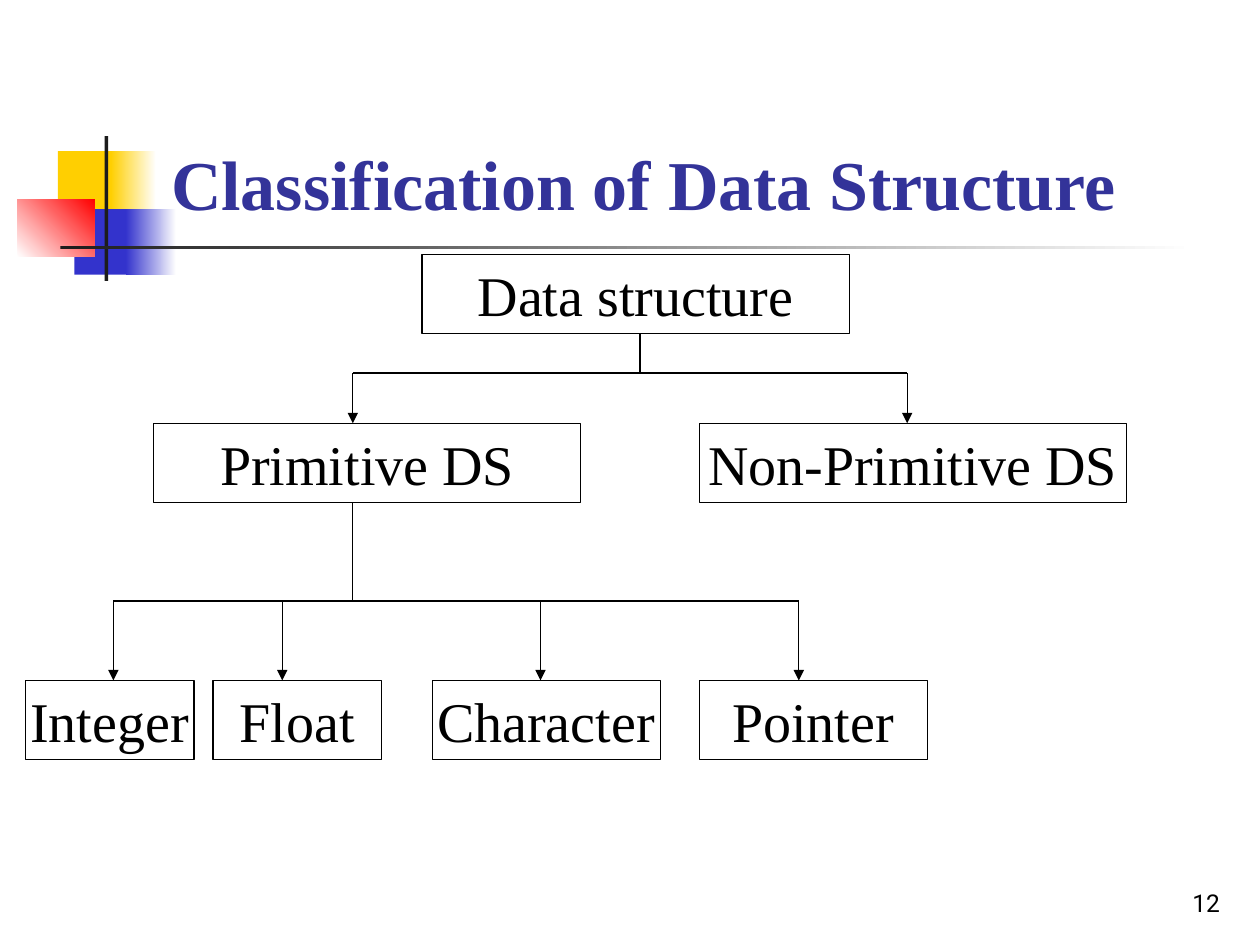
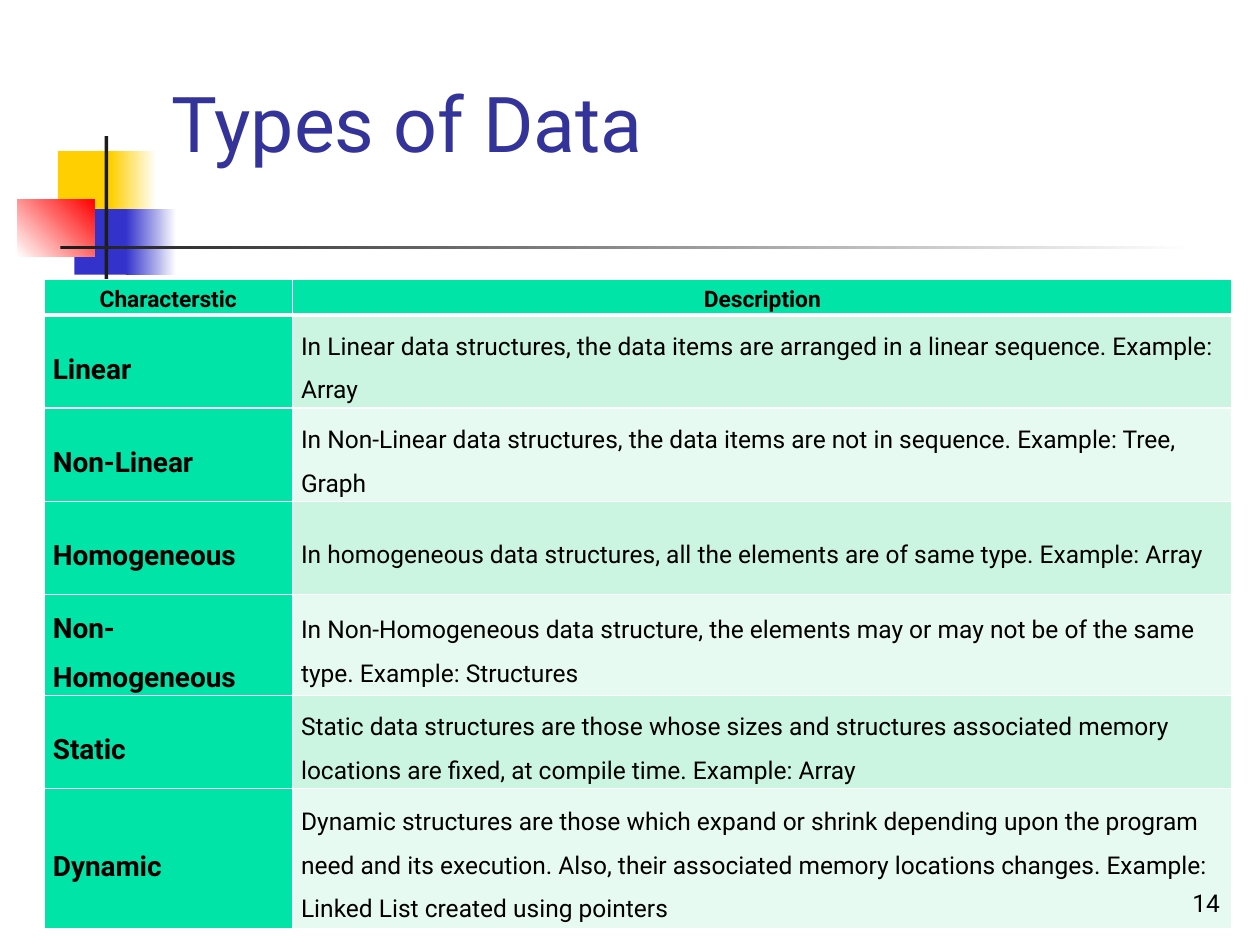
from lxml import etree
from pptx import Presentation
from pptx.dml.color import RGBColor
from pptx.enum.shapes import MSO_CONNECTOR, MSO_SHAPE
from pptx.enum.text import MSO_ANCHOR, PP_ALIGN
from pptx.oxml.ns import qn
from pptx.util import Inches, Pt

RECTANGLE, STRAIGHT = MSO_SHAPE.RECTANGLE, MSO_CONNECTOR.STRAIGHT
MIDDLE, BOTTOM = MSO_ANCHOR.MIDDLE, MSO_ANCHOR.BOTTOM
LEFT, CENTER, RIGHT = PP_ALIGN.LEFT, PP_ALIGN.CENTER, PP_ALIGN.RIGHT

WHITE = RGBColor(0xFF, 0xFF, 0xFF)
BLACK = RGBColor(0, 0, 0)
CHARCOAL = RGBColor(0x1C, 0x1C, 0x1C)
YELLOW = RGBColor(0xFF, 0xCF, 0x01)
BLUE = RGBColor(0x33, 0x33, 0xCC)
RED = RGBColor(0xFF, 0, 0)
TITLE_BLUE = RGBColor(0x33, 0x33, 0x99)
GREEN = RGBColor(0x00, 0xE4, 0xA8)
BANDS = (RGBColor(0xCC, 0xF5, 0xE1), RGBColor(0xE7, 0xFA, 0xF1))

SANS, SERIF = "Roboto", "Times New Roman"
BOX_HEIGHT = 0.63

DATA_TYPES = [
    ("Linear", "In Linear data structures, the data items are arranged in a "
               "linear sequence. Example: Array"),
    ("Non-Linear", "In Non-Linear data structures, the data items are not in "
                   "sequence. Example: Tree, Graph"),
    ("Homogeneous", "In homogeneous data structures, all the elements are of "
                    "same type. Example: Array"),
    ("Non-Homogeneous", "In Non-Homogeneous data structure, the elements may or "
                        "may not be of the same type. Example: Structures"),
    ("Static", "Static data structures are those whose sizes and structures "
               "associated memory locations are fixed, at compile time. "
               "Example: Array"),
    ("Dynamic", "Dynamic structures are those which expand or shrink depending "
                "upon the program need and its execution. Also, their associated "
                "memory locations changes. Example: Linked List created using "
                "pointers"),
]


def write(frame, text, size, font, color=BLACK, bold=False, align=LEFT, spacing=None):
    """Write one formatted run into the first paragraph of a text frame."""
    paragraph = frame.paragraphs[0]
    paragraph.alignment = align
    if spacing:
        paragraph.line_spacing = spacing
    run = paragraph.add_run()
    run.text = text
    run.font.size = Pt(size)
    run.font.name = font
    run.font.bold = bold
    run.font.color.rgb = color


def add_rectangle(slide, left, top, width, height, color, fade_to=None, angle=0):
    """Add an unlined rectangle, plain or fading from one colour to another."""
    rectangle = slide.shapes.add_shape(
        RECTANGLE, Inches(left), Inches(top), Inches(width), Inches(height))
    rectangle.shadow.inherit = False
    rectangle.line.fill.background()
    if fade_to is None:
        rectangle.fill.solid()
        rectangle.fill.fore_color.rgb = color
    else:
        rectangle.fill.gradient()
        rectangle.fill.gradient_angle = angle
        for stop, shade in zip(rectangle.fill.gradient_stops, (color, fade_to)):
            stop.color.rgb = shade
    return rectangle


def add_text(slide, left, top, width, height, text, size, font, **style):
    """Add a wrapped, bottom-anchored text box."""
    frame = slide.shapes.add_textbox(
        Inches(left), Inches(top), Inches(width), Inches(height)).text_frame
    frame.word_wrap = True
    frame.vertical_anchor = BOTTOM
    write(frame, text, size, font, **style)


def add_emblem(slide, left, top):
    """Draw the coloured squares and the crossing bars beside the title."""
    for dx, dy, width, height, color, fade_to, angle in (
            (0.32, 0.12, 0.48, 0.52, YELLOW, None, 0),
            (0.74, 0.12, 0.36, 0.52, YELLOW, WHITE, 0),
            (0.45, 0.58, 0.46, 0.52, BLUE, None, 0),
            (0.86, 0.58, 0.40, 0.52, BLUE, WHITE, 0),
            (0, 0.5, 0.61, 0.46, WHITE, RED, 45),
            (0.69, 0, 0.03, 1.15, CHARCOAL, None, 0),
            (0.34, 0.87, 9, 0.03, CHARCOAL, WHITE, 0)):
        add_rectangle(slide, left + dx, top + dy, width, height, color, fade_to, angle)


def start_slide(deck, title, title_height, size, font, bold=False):
    """Add a blank slide with the shared emblem and a title."""
    slide = deck.slides.add_slide(deck.slide_layouts[6])
    add_emblem(slide, 0.14, 1.08)
    add_text(slide, 1.26, 0.23, 8.52, title_height, title, size, font,
             color=TITLE_BLUE, bold=bold)
    return slide


def add_page_number(slide, number):
    """Put the page number in the bottom right corner."""
    add_text(slide, 7.7, 6.83, 2.08, 0.5, str(number), 14, SANS, align=RIGHT)


def add_node(slide, left, top, width, label):
    """Draw one labelled box of the tree."""
    node = add_rectangle(slide, left, top, width, BOX_HEIGHT, WHITE)
    node.line.color.rgb = BLACK
    node.line.width = Pt(0.75)
    node.text_frame.word_wrap = False
    node.text_frame.vertical_anchor = MIDDLE
    write(node.text_frame, label, 32, SERIF, align=CENTER)


def add_line(slide, x1, y1, x2, y2, arrow=False):
    """Draw a thin straight line, with an arrowhead at its end if asked."""
    line = slide.shapes.add_connector(
        STRAIGHT, Inches(x1), Inches(y1), Inches(x2), Inches(y2))
    line.line.color.rgb = BLACK
    line.line.width = Pt(0.75)
    if arrow:
        etree.SubElement(line.line._get_or_add_ln(), qn("a:tailEnd"), type="triangle")
    etree.SubElement(line._element.spPr, qn("a:effectLst"))


def add_branch(slide, stem_x, parent_bottom, bar_y, child_top, arrow_xs):
    """Link a parent to its children by a stem, a bar and arrows."""
    add_line(slide, stem_x, parent_bottom, stem_x, bar_y)
    add_line(slide, arrow_xs[0], bar_y, arrow_xs[-1], bar_y)
    for x in arrow_xs:
        add_line(slide, x, bar_y, x, child_top, arrow=True)


def add_tree(slide, left, top):
    """Draw the three levels of the classification."""
    kinds_top, types_top = top + 1.34, top + 3.38
    for dx, node_top, width, label in (
            (3.15, top, 3.39, "Data structure"),
            (1.02, kinds_top, 3.39, "Primitive DS"),
            (5.35, kinds_top, 3.39, "Non-Primitive DS"),
            (0, types_top, 1.34, "Integer"),
            (1.49, types_top, 1.34, "Float"),
            (3.23, types_top, 1.81, "Character"),
            (5.35, types_top, 1.81, "Pointer")):
        add_node(slide, left + dx, node_top, width, label)
    add_branch(slide, left + 4.88, top + BOX_HEIGHT, top + 0.94, kinds_top,
               [left + dx for dx in (2.6, 7)])
    add_branch(slide, left + 2.6, kinds_top + BOX_HEIGHT, top + 2.75, types_top,
               [left + dx for dx in (0.7, 2.04, 4.09, 6.14)])


def set_borders(cell, bottom_width):
    """Give a cell white borders, with its own width at the bottom."""
    properties = cell._tc.get_or_add_tcPr()
    widths = (("a:lnL", 1), ("a:lnR", 1), ("a:lnT", 1), ("a:lnB", bottom_width))
    for position, (edge, width) in enumerate(widths):
        border = etree.Element(qn(edge), w=str(Pt(width)))
        fill = etree.SubElement(border, qn("a:solidFill"))
        etree.SubElement(fill, qn("a:srgbClr"), val=str(WHITE))
        properties.insert(position, border)


def fill_cell(cell, text, size, color, bottom_width=1, **style):
    """Fill one table cell with text, colour and borders."""
    cell.margin_left = cell.margin_right = Inches(0.07)
    cell.margin_top = cell.margin_bottom = 0
    cell.vertical_anchor = MIDDLE
    cell.fill.solid()
    cell.fill.fore_color.rgb = color
    set_borders(cell, bottom_width)
    write(cell.text_frame, text, size, SANS, **style)


def add_types_table(slide, left, top, width, height):
    """Draw the table of characteristics and their descriptions."""
    table = slide.shapes.add_table(
        len(DATA_TYPES) + 1, 2, Inches(left), Inches(top),
        Inches(width), Inches(height)).table
    name_width = 1.97
    table.columns[0].width = Inches(name_width)
    table.columns[1].width = Inches(width - name_width)
    for row, row_height in zip(table.rows, [0.28] + [0.74] * 5 + [1.11]):
        row.height = Inches(row_height)
    for column, heading in enumerate(("Characterstic", "Description")):
        fill_cell(table.cell(0, column), heading, 13, GREEN, bottom_width=3,
                  bold=True, align=CENTER, spacing=1.15)
    for index, (name, description) in enumerate(DATA_TYPES):
        fill_cell(table.cell(index + 1, 0), name, 16, GREEN, bold=True, spacing=1.5)
        fill_cell(table.cell(index + 1, 1), description, 14, BANDS[index % 2],
                  spacing=1.5)


def main():
    """Build both slides and save the deck."""
    deck = Presentation()
    deck.slide_width, deck.slide_height = Inches(10), Inches(7.5)

    classification = start_slide(
        deck, "Classification of Data Structure", 1.6, 40, SERIF, bold=True)
    add_tree(classification, 0.2, 2.02)
    add_page_number(classification, 12)

    data_types = start_slide(deck, "Types of Data", 1.15, 44, SANS)
    add_types_table(data_types, 0.35, 2.22, 9.43, 5.09)
    add_page_number(data_types, 14)

    deck.save("out.pptx")


main()
